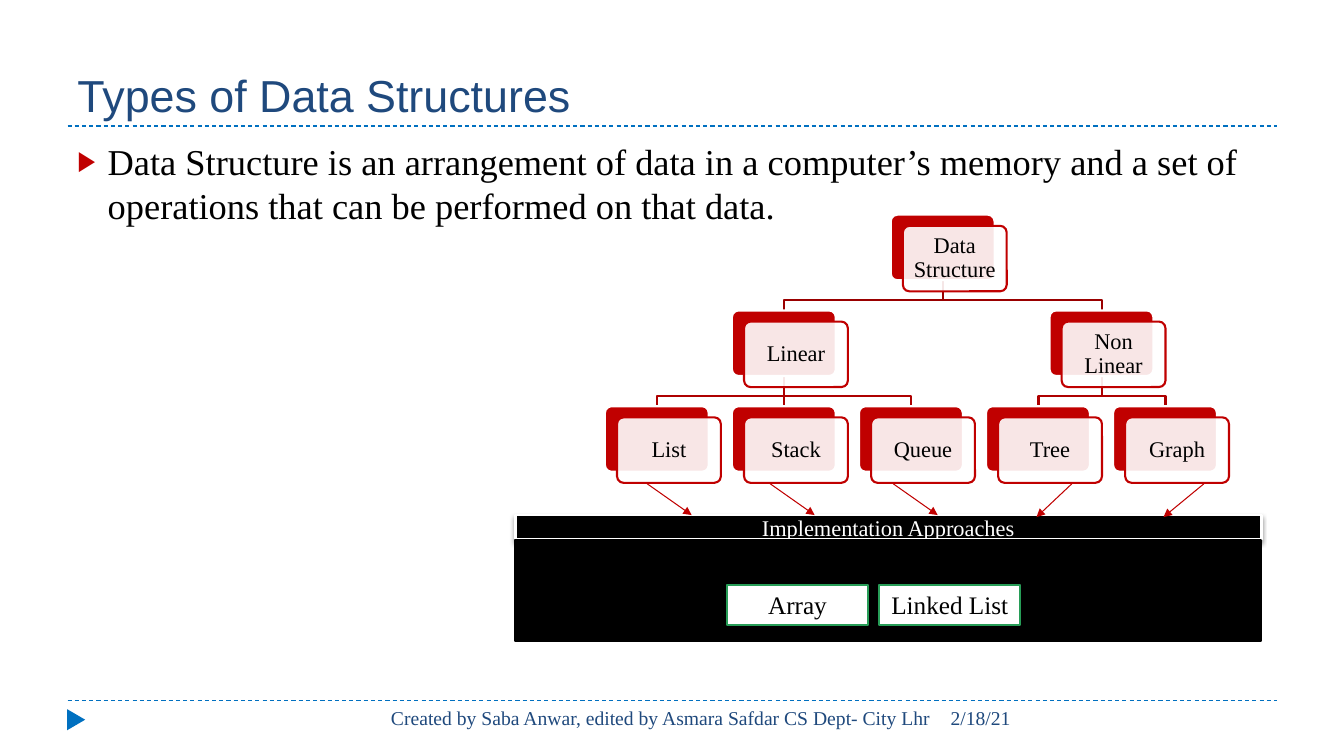
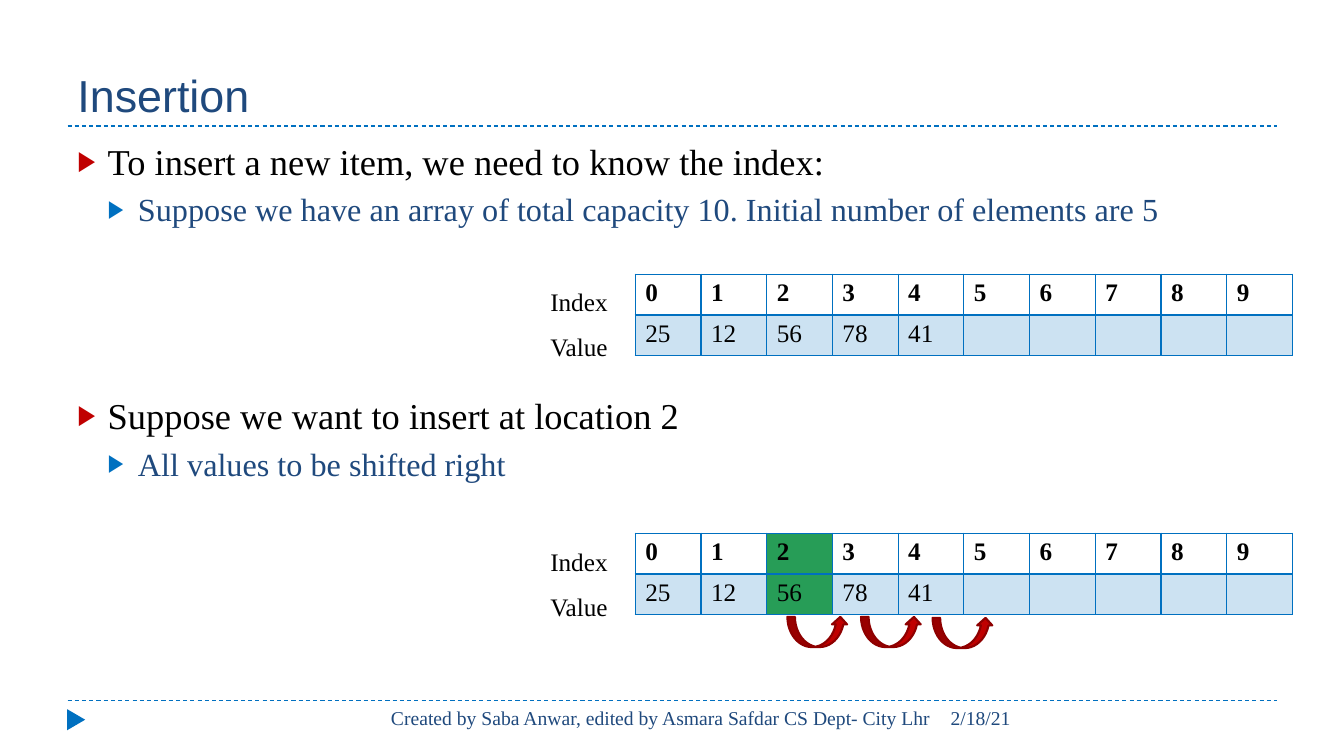
"""Build two lecture slides on data structures and array insertion."""
from dataclasses import dataclass

from lxml import etree
from pptx import Presentation
from pptx.dml.color import RGBColor
from pptx.enum.dml import MSO_LINE
from pptx.enum.shapes import MSO_CONNECTOR, MSO_SHAPE
from pptx.enum.text import MSO_ANCHOR, PP_ALIGN
from pptx.oxml.ns import qn
from pptx.util import Inches, Pt

STRAIGHT = MSO_CONNECTOR.STRAIGHT
DASH = MSO_LINE.DASH
RECT = MSO_SHAPE.RECTANGLE
ROUNDED = MSO_SHAPE.ROUNDED_RECTANGLE
TRIANGLE = MSO_SHAPE.ISOSCELES_TRIANGLE
CURVED_ARROW = MSO_SHAPE.CURVED_UP_ARROW
LEFT, CENTER, RIGHT = PP_ALIGN.LEFT, PP_ALIGN.CENTER, PP_ALIGN.RIGHT
TOP, MIDDLE, BOTTOM = MSO_ANCHOR.TOP, MSO_ANCHOR.MIDDLE, MSO_ANCHOR.BOTTOM


@dataclass(frozen=True)
class Theme:
    """Colours, fonts and type sizes of the deck."""
    heading_font: str = "Arial"
    body_font: str = "Times New Roman"
    navy: str = "1F497D"
    blue: str = "0070C0"
    red: str = "C00000"
    dark_red: str = "8E0000"
    upper_branch: str = "9A0000"
    lower_branch: str = "AE0000"
    green: str = "279D57"
    black: str = "000000"
    white: str = "FFFFFF"
    title: int = 32
    footer: int = 14
    node: int = 16
    label: int = 18


THEME = Theme()
BULLETS = (
    {"size": 26, "color": THEME.black, "mark": THEME.red, "before": 6},
    {"size": 23, "color": THEME.navy, "mark": THEME.blue, "before": 5},
)
CREDIT = "Created by Saba Anwar, edited by Asmara Safdar CS Dept- City Lhr"
DATE = "2/18/21"

TYPES_TITLE = "Types of Data Structures"
TYPES_BODY = [
    (0, "Data Structure is an arrangement of data in a computer’s memory "
        "and a set of operations that can be performed on that data.", 6),
]
TREE = {
    "Data Structure": (2.25, 0, None),
    "Linear": (1, 1, "Data Structure"),
    "Non Linear": (3.5, 1, "Data Structure"),
    "List": (0, 2, "Linear"),
    "Stack": (1, 2, "Linear"),
    "Queue": (2, 2, "Linear"),
    "Tree": (3, 2, "Non Linear"),
    "Graph": (4, 2, "Non Linear"),
}
APPROACH_TITLE = "Implementation Approaches"
APPROACHES = ["Array", "Linked List"]
APPROACH_ARROWS = [
    (6.42, 6.86, 5.11), (7.64, 8.08, 5.11), (8.86, 9.3, 5.11),
    (10.63, 10.28, 5.13), (11.94, 11.54, 5.13),
]

INSERT_TITLE = "Insertion"
INSERT_BODY = [
    (0, "To insert a new item, we need to know the index:", 6),
    (1, "Suppose we have an array of total capacity 10. "
        "Initial number of elements are 5", 5),
    (0, "Suppose we want to insert at location 2", 118),
    (1, "All values to be shifted right", 5),
]
ROW_LABELS = ["Index", "Value"]
CAPACITY = 10
VALUES = [25, 12, 56, 78, 41]
ARRAYS = [(2.72, 2.64, None), (5.29, 5.22, 2)]
SHIFTS = [(7.81, 6.12), (8.54, 6.12), (9.25, 6.13)]


def rgb(color):
    return RGBColor.from_string(color)


def place(*lengths):
    return [Inches(length) for length in lengths]


def child(parent, tag, **attributes):
    node = etree.SubElement(parent, qn(tag))
    for name, value in attributes.items():
        node.set(name, str(value))
    return node


def fade(fill_parent, percent):
    color = fill_parent.find(qn("a:solidFill"))[0]
    child(color, "a:alpha", val=percent * 1000)


def write(para, text, size, color, font=THEME.body_font, bold=False):
    para.text = text
    for span in para.runs:
        span.font.size = Pt(size)
        span.font.name = font
        span.font.bold = bold
        span.font.color.rgb = rgb(color)


def add_text(page, at, lines, size, color, font=THEME.body_font,
             align=LEFT, anchor=TOP, spacing=1.0):
    frame = page.shapes.add_textbox(*place(*at)).text_frame
    frame.word_wrap = True
    frame.vertical_anchor = anchor
    for number, line in enumerate(lines):
        para = frame.add_paragraph() if number else frame.paragraphs[0]
        write(para, line, size, color, font)
        para.alignment = align
        para.line_spacing = spacing


def add_box(page, kind, at, fill, line=None, width=1.5):
    box = page.shapes.add_shape(kind, *place(*at))
    box.shadow.inherit = False
    box.fill.solid()
    box.fill.fore_color.rgb = rgb(fill)
    if line:
        box.line.color.rgb = rgb(line)
        box.line.width = Pt(width)
    else:
        box.line.fill.background()
    return box


def label_box(box, text, size, color):
    frame = box.text_frame
    frame.word_wrap = True
    frame.vertical_anchor = MIDDLE
    write(frame.paragraphs[0], text, size, color)
    frame.paragraphs[0].alignment = CENTER
    return frame


def add_line(page, start, end, color, width=0.75, dash=None, arrow=False):
    line = page.shapes.add_connector(STRAIGHT, *place(*start, *end))
    line.line.color.rgb = rgb(color)
    line.line.width = Pt(width)
    if dash:
        line.line.dash_style = dash
    properties = line.element.spPr
    if arrow:
        child(properties.find(qn("a:ln")), "a:tailEnd", type="triangle")
    child(properties, "a:effectLst")


def add_body(page, items):
    frame = page.shapes.add_textbox(*place(0.67, 1.33, 12, 5.4)).text_frame
    frame.word_wrap = True
    for number, (level, text, before) in enumerate(items):
        para = frame.add_paragraph() if number else frame.paragraphs[0]
        look = BULLETS[level]
        write(para, text, look["size"], look["color"])
        para.level = level
        para.space_before = Pt(before)
        properties = para._p.get_or_add_pPr()
        properties.set("marL", str(Inches(0.3 * (level + 1))))
        properties.set("indent", str(Inches(-0.3)))
        child(child(properties, "a:buClr"), "a:srgbClr", val=look["mark"])
        child(properties, "a:buSzPct", val=76000)
        child(properties, "a:buFont", typeface=THEME.heading_font)
        child(properties, "a:buChar", char="▶")


def add_page(deck, title, items):
    page = deck.slides.add_slide(deck.slide_layouts[6])
    for height in (6.95, 1.25):
        add_line(page, (0.67, height), (12.67, height), THEME.blue, dash=DASH)
    add_box(page, TRIANGLE, (0.65, 7.05, 0.21, 0.18), THEME.blue).rotation = 90
    add_text(page, (0.67, 0.17, 12, 1.08), [title], THEME.title, THEME.navy,
             font=THEME.heading_font, anchor=BOTTOM)
    add_text(page, (9.33, 6.95, 3.34, 0.4), [DATE], THEME.footer, THEME.navy)
    add_text(page, (2.93, 6.95, 6.4, 0.4), [CREDIT], THEME.footer, THEME.navy,
             align=RIGHT)
    add_body(page, items)
    return page


def node_corner(name):
    column, level, _ = TREE[name]
    return 6 + 1.26 * column, 2.13 + 0.95 * level


def add_branch(page, name, parent):
    color = THEME.upper_branch if TREE[name][1] == 1 else THEME.lower_branch
    half, drop = 0.52, 0.65
    parent_left, parent_top = node_corner(parent)
    left, top = node_corner(name)
    start = (parent_left + half, parent_top + drop)
    end = (left + half, top)
    if start[0] == end[0]:
        add_line(page, start, end, color, 1.5)
        return
    bend = start[1] + 0.2
    builder = page.shapes.build_freeform(*place(*start))
    corners = [(start[0], bend), (end[0], bend), end]
    builder.add_line_segments([place(*corner) for corner in corners], close=False)
    branch = builder.convert_to_shape()
    branch.shadow.inherit = False
    branch.fill.background()
    branch.line.color.rgb = rgb(color)
    branch.line.width = Pt(1.5)


def add_node(page, name):
    left, top = node_corner(name)
    back = add_box(page, ROUNDED, (left, top, 1.03, 0.65), THEME.red, THEME.white)
    front = add_box(page, ROUNDED, (left + 0.12, top + 0.11, 1.03, 0.65),
                    THEME.white, THEME.red)
    for card in (back, front):
        card.adjustments[0] = 0.1
    fade(front.element.spPr, 90)
    frame = label_box(front, name, THEME.node, THEME.black)
    frame.margin_left = frame.margin_right = Inches(0.07)
    frame.margin_top = frame.margin_bottom = Inches(0.07)
    frame.paragraphs[0].line_spacing = 0.9


def add_approaches(page):
    header = add_box(page, RECT, (5.11, 5.11, 7.4, 0.24), THEME.black,
                     THEME.white, 2)
    label_box(header, APPROACH_TITLE, THEME.node, THEME.white)
    effects = header.element.spPr.find(qn("a:effectLst"))
    shadow = child(effects, "a:outerShdw", blurRad=Pt(3), dist=Pt(2),
                   dir=5400000, rotWithShape=0)
    child(child(shadow, "a:srgbClr", val=THEME.black), "a:alpha", val=40000)
    add_box(page, RECT, (5.11, 5.36, 7.4, 1), THEME.black, THEME.black)
    for number, name in enumerate(APPROACHES):
        box = add_box(page, RECT, (7.21 + 1.51 * number, 5.8, 1.4, 0.4),
                      THEME.white, THEME.green)
        label_box(box, name, THEME.label, THEME.black)
    for start, end, bottom in APPROACH_ARROWS:
        add_line(page, (start, 4.8), (end, bottom), THEME.red, arrow=True)


def add_borders(cell, widths):
    properties = cell._tc.get_or_add_tcPr()
    for place_in_order, (side, width) in enumerate(zip("LRTB", widths)):
        border = child(properties, "a:ln" + side, w=Pt(width))
        child(child(border, "a:solidFill"), "a:srgbClr", val=THEME.blue)
        properties.insert(place_in_order, border)


def add_array(page, top, label_top, marked):
    grid = page.shapes.add_table(2, CAPACITY, *place(6.3, top, 6.52, 0.81)).table
    padded = VALUES + [""] * (CAPACITY - len(VALUES))
    for row, entries in enumerate((range(CAPACITY), padded)):
        for column, entry in enumerate(entries):
            cell = grid.cell(row, column)
            write(cell.text_frame.paragraphs[0], str(entry), THEME.label,
                  THEME.black, bold=row == 0)
            if column == marked:
                cell.fill.solid()
                cell.fill.fore_color.rgb = rgb(THEME.green)
            elif row:
                cell.fill.solid()
                cell.fill.fore_color.rgb = rgb(THEME.blue)
                fade(cell._tc.tcPr, 20)
            else:
                cell.fill.background()
            add_borders(cell, (1, 1, 2, 1) if row else (1, 1, 1, 2))
    add_text(page, (5.36, label_top, 0.93, 1.01), ROW_LABELS, THEME.label,
             THEME.black, spacing=1.5)


deck = Presentation()
deck.slide_width, deck.slide_height = place(13.33, 7.5)

types_page = add_page(deck, TYPES_TITLE, TYPES_BODY)
for name, (_, _, parent) in TREE.items():
    if parent:
        add_branch(types_page, name, parent)
for name in TREE:
    add_node(types_page, name)
add_approaches(types_page)

insert_page = add_page(deck, INSERT_TITLE, INSERT_BODY)
for array in ARRAYS:
    add_array(insert_page, *array)
for left, top in SHIFTS:
    add_box(insert_page, CURVED_ARROW, (left, top, 0.6, 0.3), THEME.red,
            THEME.dark_red)

deck.save("out.pptx")
